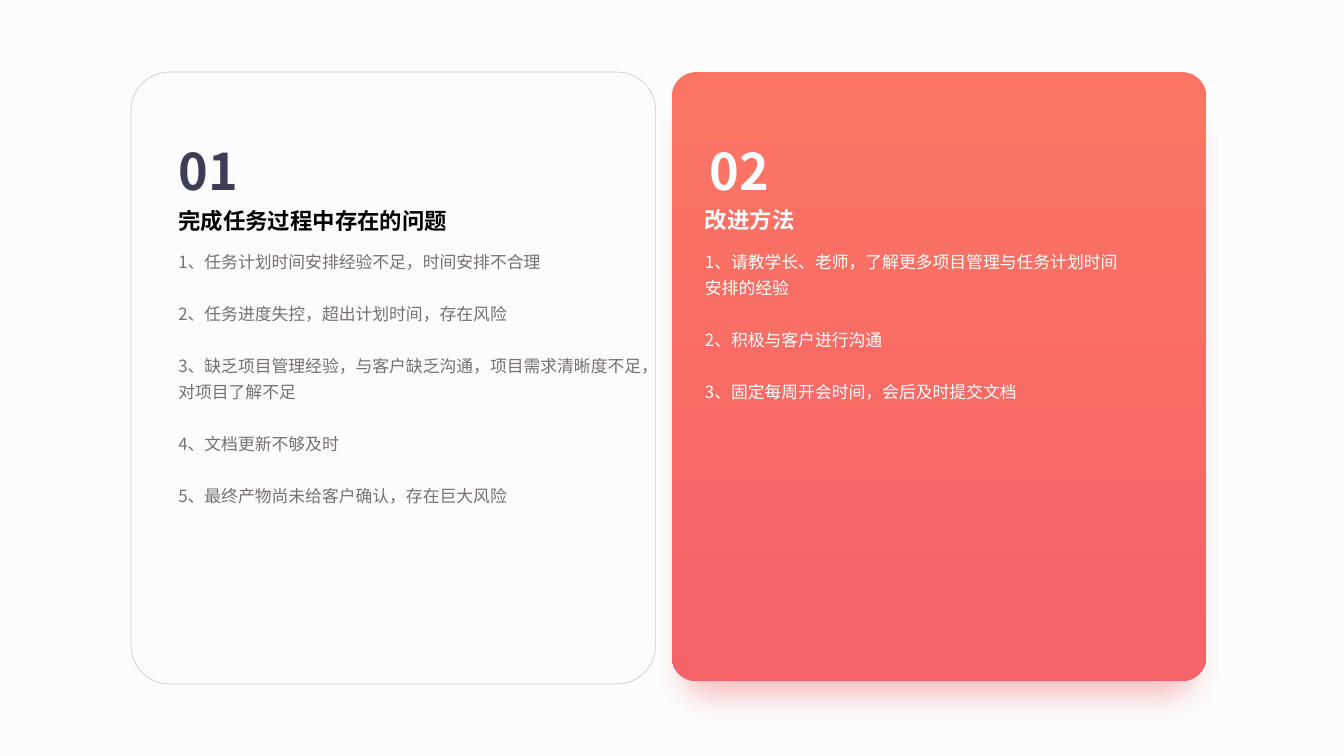
from lxml import etree
from pptx import Presentation
from pptx.dml.color import RGBColor
from pptx.enum.shapes import MSO_SHAPE
from pptx.oxml.ns import qn
from pptx.util import Pt

ROUNDED = MSO_SHAPE.ROUNDED_RECTANGLE
PX = 9144  # EMU; 100 px to the inch
BLANK_LAYOUT = 6
FONT = "Noto Sans CJK JP"
LINE_HEIGHT = 1.55  # of the text size

PAPER = RGBColor(0xFC, 0xFC, 0xFC)
OUTLINE = RGBColor(0xD0, 0xCE, 0xCE)
INK = RGBColor(0x3F, 0x3D, 0x56)
BLACK = RGBColor(0, 0, 0)
GREY = RGBColor(0x76, 0x71, 0x71)
WHITE = RGBColor(0xFF, 0xFF, 0xFF)
ORANGE = RGBColor(0xFC, 0x75, 0x63)
CORAL = RGBColor(0xF5, 0x62, 0x68)

PROBLEMS = [
    "1、任务计划时间安排经验不足，时间安排不合理",
    "2、任务进度失控，超出计划时间，存在风险",
    "3、缺乏项目管理经验，与客户缺乏沟通，项目需求清晰度不足，对项目了解不足",
    "4、文档更新不够及时",
    "5、最终产物尚未给客户确认，存在巨大风险",
]
IMPROVEMENTS = [
    "1、请教学长、老师，了解更多项目管理与任务计划时间安排的经验",
    "2、积极与客户进行沟通",
    "3、固定每周开会时间，会后及时提交文档",
]


def emu(*lengths):
    return [length * PX for length in lengths]


def add_text(slide, box, lines, size, color, bold=False):
    """Lines of one style, one empty line apart."""
    frame = slide.shapes.add_textbox(*emu(*box)).text_frame
    frame.word_wrap = True
    frame.margin_top = (5 + round(size * 0.13)) * PX
    frame.text = "\n".join(lines)
    line_height = Pt(size * LINE_HEIGHT)
    for paragraph in frame.paragraphs:
        paragraph.line_spacing = line_height
        paragraph.space_after = line_height if len(lines) > 1 else 0
        font = paragraph.font
        font.name, font.size, font.bold = FONT, Pt(size), bold
        font.color.rgb = color
        etree.SubElement(font._element, qn("a:ea"), typeface=FONT)


def add_card(slide, box, radius):
    card = slide.shapes.add_shape(ROUNDED, *emu(*box))
    card.adjustments[0] = radius
    card.shadow.inherit = False
    return card


def style_outlined(card):
    card.fill.background()
    card.line.color.rgb = OUTLINE
    card.line.width = Pt(1)


def style_glowing(card):
    card.line.fill.background()
    card.fill.gradient()
    card.fill.gradient_angle = 270
    for stop, color in zip(card.fill.gradient_stops, (ORANGE, CORAL)):
        stop.color.rgb = color
    # Soft coral shadow below the card
    effects = card._element.spPr.find(qn("a:effectLst"))
    shadow = etree.SubElement(
        effects, qn("a:outerShdw"), blurRad=str(Pt(42)), dist=str(Pt(42)),
        dir="5400000", sx="95000", sy="95000", algn="ctr", rotWithShape="0")
    color = etree.SubElement(shadow, qn("a:srgbClr"), val=str(CORAL))
    etree.SubElement(color, qn("a:alpha"), val="40000")


def add_problems(slide, box):
    left, top, width, height = box
    style_outlined(add_card(slide, box, 0.073))
    text_left = left + 84
    add_text(slide, (text_left, top + 337, width - 94, 530), PROBLEMS, 24, GREY)
    add_text(slide, (text_left, top + 243, 568, 73), ["完成任务过程中存在的问题"], 32, BLACK, True)
    add_text(slide, (text_left, top + 86, 242, 157), ["01"], 72, INK, True)


def add_improvements(slide, box):
    left, top, width, height = box
    style_glowing(add_card(slide, box, 0.046))
    text_left = left + 56
    add_text(slide, (text_left, top + 337, width - 206, 320), IMPROVEMENTS, 24, WHITE)
    add_text(slide, (text_left, top + 241, 270, 75), ["改进方法"], 32, WHITE, True)
    add_text(slide, (text_left + 9, top + 86, 242, 157), ["02"], 72, WHITE, True)


def main():
    presentation = Presentation()
    presentation.slide_width, presentation.slide_height = emu(2667, 1500)
    slide = presentation.slides.add_slide(presentation.slide_layouts[BLANK_LAYOUT])
    slide.background.fill.solid()
    slide.background.fill.fore_color.rgb = PAPER
    add_problems(slide, (260, 143, 1041, 1214))
    add_improvements(slide, (1333, 143, 1061, 1208))
    presentation.save("out.pptx")


if __name__ == "__main__":
    main()
